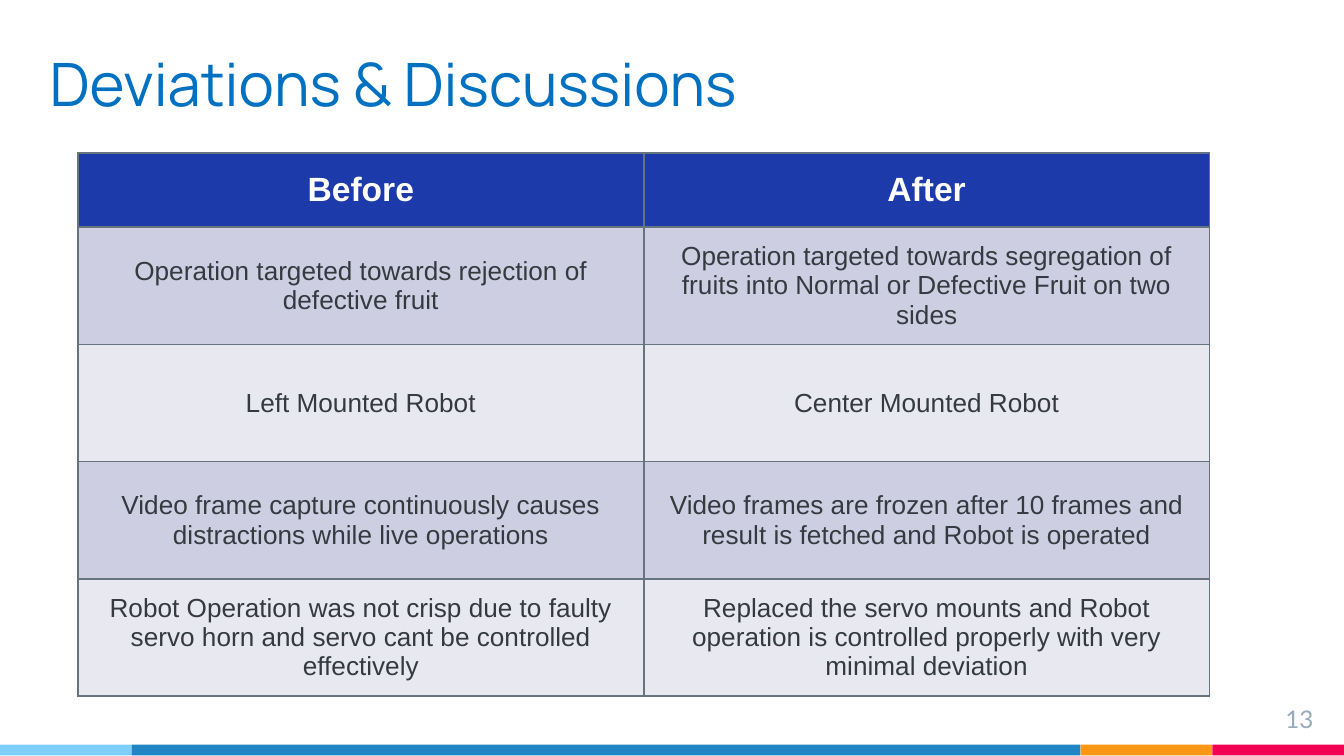
import pptx
import pptx.dml.color
import pptx.enum.shapes
import pptx.enum.text
import pptx.oxml
import pptx.oxml.ns
import pptx.util
from pptx.util import Inches

ALIGN = pptx.enum.text.PP_ALIGN
ANCHOR = pptx.enum.text.MSO_ANCHOR

ROWS = [
    ("Before", "After"),
    ("Operation targeted towards rejection of defective fruit",
     "Operation targeted towards segregation of fruits into Normal or Defective Fruit on two sides"),
    ("Left Mounted Robot", "Center Mounted Robot"),
    ("Video frame capture continuously causes distractions while live operations",
     "Video frames are frozen after 10 frames and result is fetched and Robot is operated"),
    ("Robot Operation was not crisp due to faulty servo horn and servo cant be controlled effectively",
     "Replaced the servo mounts and Robot operation is controlled properly with very minimal deviation"),
]


def color(value):
    return pptx.dml.color.RGBColor.from_string(value)


def style_paragraph(paragraph, font_name, size, font_color, alignment, bold=False):
    paragraph.alignment = alignment
    paragraph.font.name = font_name
    paragraph.font.size = pptx.util.Pt(size)
    paragraph.font.bold = bold
    paragraph.font.color.rgb = color(font_color)


def add_text(slide, box, text, font_name, size, font_color, alignment, anchor):
    shape = slide.shapes.add_textbox(*map(Inches, box))
    frame = shape.text_frame
    frame.word_wrap = True
    frame.vertical_anchor = anchor
    frame.margin_left = frame.margin_right = Inches(0.1)
    frame.margin_top = frame.margin_bottom = Inches(0.1)
    frame.text = text
    style_paragraph(frame.paragraphs[0], font_name, size, font_color, alignment)


def add_footer_bar(slide, box):
    left, top, width, height = box
    end_width = 0.98
    middle_width = width - 3 * end_width
    segments = [("7ECEFD", end_width), ("2185C5", middle_width),
                ("FF9715", end_width), ("F20253", end_width)]
    for fill, segment_width in segments:
        shape = slide.shapes.add_shape(
            pptx.enum.shapes.MSO_SHAPE.RECTANGLE,
            Inches(left), Inches(top), Inches(segment_width), Inches(height))
        shape.shadow.inherit = False
        shape.fill.solid()
        shape.fill.fore_color.rgb = color(fill)
        shape.line.fill.background()
        left += segment_width


def set_borders(cell, line_color, points):
    properties = cell._tc.get_or_add_tcPr()
    for index, side in enumerate(("lnL", "lnR", "lnT", "lnB")):
        border = pptx.oxml.parse_xml(
            f'<a:{side} {pptx.oxml.ns.nsdecls("a")} w="{pptx.util.Pt(points)}">'
            f'<a:solidFill><a:srgbClr val="{line_color}"/></a:solidFill></a:{side}>')
        properties.insert(index, border)


def add_comparison_table(slide, box, rows):
    left, top, width, height = box
    header_height = 0.55
    body_height = (height - header_height) / (len(rows) - 1)
    table = slide.shapes.add_table(len(rows), len(rows[0]), *map(Inches, box)).table
    for column in table.columns:
        column.width = Inches(width / len(rows[0]))
    for row_index, texts in enumerate(rows):
        header = row_index == 0
        table.rows[row_index].height = Inches(header_height if header else body_height)
        fill = "1C3AA9" if header else ("E8E8F1", "CDCEE2")[row_index % 2]
        for column_index, text in enumerate(texts):
            cell = table.cell(row_index, column_index)
            cell.text = text
            cell.vertical_anchor = ANCHOR.MIDDLE
            cell.fill.solid()
            cell.fill.fore_color.rgb = color(fill)
            set_borders(cell, "677480", 1)
            style_paragraph(cell.text_frame.paragraphs[0], "Arial", 18 if header else 14,
                            "FFFFFF" if header else "343A40", ALIGN.CENTER, header)


def main():
    presentation = pptx.Presentation()
    presentation.slide_width = Inches(10)
    presentation.slide_height = Inches(10 * 9 / 16)
    slide = presentation.slides.add_slide(presentation.slide_layouts[6])
    add_footer_bar(slide, (0, 5.54, 10, 0.08))
    add_text(slide, (0.27, 0.31, 5.89, 0.67), "Deviations & Discussions",
             "Manrope", 32, "0070C0", ALIGN.LEFT, ANCHOR.BOTTOM)
    add_text(slide, (9.27, 5.14, 0.6, 0.34), "13",
             "Lato", 13, "97ABBC", ALIGN.RIGHT, ANCHOR.TOP)
    add_comparison_table(slide, (0.58, 1.14, 8.42, 4.04), ROWS)
    presentation.save("out.pptx")


if __name__ == "__main__":
    main()
